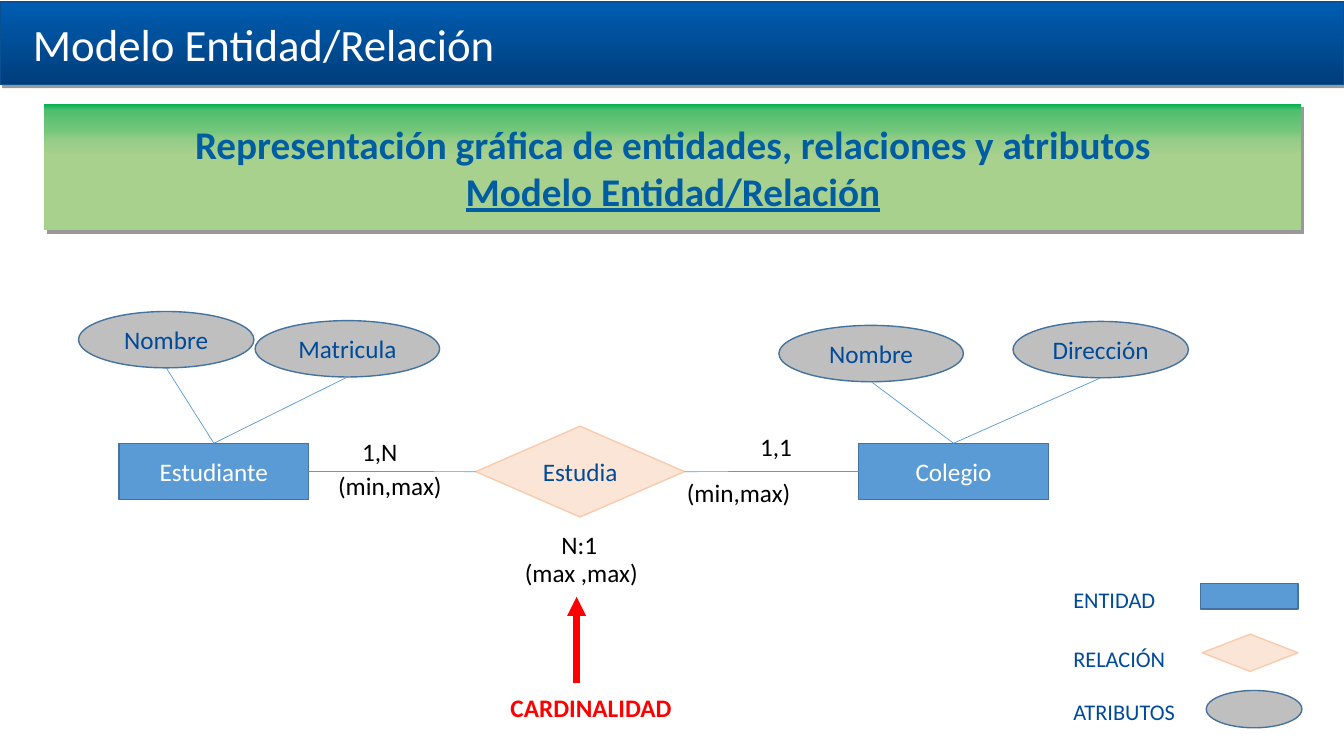
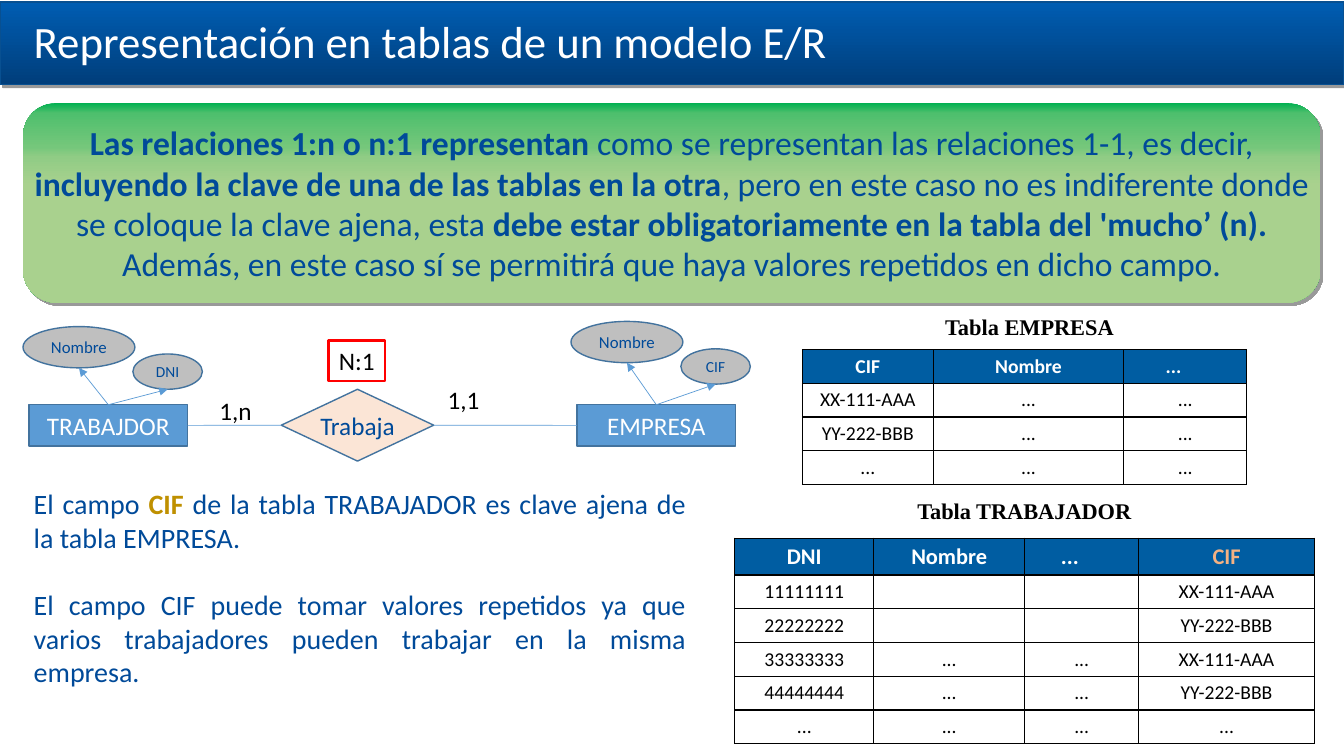
"""Builds two slides on the entity/relationship model and its representation in tables."""
from pptx import Presentation
from pptx.dml.color import RGBColor
from pptx.enum.shapes import MSO_CONNECTOR, MSO_SHAPE
from pptx.enum.text import MSO_ANCHOR, PP_ALIGN
from pptx.oxml import parse_xml
from pptx.oxml.ns import nsdecls
from pptx.util import Cm, Pt

RECT, ROUNDED = MSO_SHAPE.RECTANGLE, MSO_SHAPE.ROUNDED_RECTANGLE
DIAMOND, OVAL = MSO_SHAPE.DIAMOND, MSO_SHAPE.OVAL
STRAIGHT = MSO_CONNECTOR.STRAIGHT
MIDDLE = MSO_ANCHOR.MIDDLE
LEFT, CENTER, JUSTIFY = PP_ALIGN.LEFT, PP_ALIGN.CENTER, PP_ALIGN.JUSTIFY

WHITE = RGBColor(0xFF, 0xFF, 0xFF)
BLACK = RGBColor(0x00, 0x00, 0x00)
RED = RGBColor(0xFF, 0x00, 0x00)
NAVY = RGBColor(0x00, 0x4A, 0x99)
BLUE = RGBColor(0x00, 0x5D, 0xA2)
BAND_EDGE = RGBColor(0x08, 0x50, 0x91)
SKY = RGBColor(0x5B, 0x9B, 0xD5)
STEEL = RGBColor(0x43, 0x73, 0x9E)
GRAY = RGBColor(0xBF, 0xBF, 0xBF)
PEACH = RGBColor(0xFB, 0xE5, 0xD6)
PEACH_EDGE = RGBColor(0xF8, 0xCB, 0xAD)
ORANGE = RGBColor(0xF4, 0xB1, 0x83)
GOLD = RGBColor(0xBF, 0x90, 0x00)

BAND_STOPS = [(0, "005DB2"), (100, "003E7B")]
PANEL_STOPS = [(0, "00B050"), (5, "4EBF6D"), (22, "75C77B"), (27, "90CC85"), (41, "A9D18E")]
FONT = "Calibri"
TOP, LEFT_SIDE, BOTTOM, RIGHT_SIDE = range(4)
OVAL_BOTTOM = 4


def add_node(slide, kind, box, text="", size=18, ink=BLACK, fill=None, border=None,
             width=1, bold=False, align=CENTER, font=FONT):
    box = [Cm(length) for length in box]
    if kind is None:
        node = slide.shapes.add_textbox(*box)
    else:
        node = slide.shapes.add_shape(kind, *box)
        node.shadow.inherit = False
    if fill is not None:
        node.fill.solid()
        node.fill.fore_color.rgb = fill
    if border is not None:
        node.line.color.rgb = border
        node.line.width = Pt(width)
    frame = node.text_frame
    frame.word_wrap = False
    frame.vertical_anchor = MIDDLE
    paragraph = frame.paragraphs[0]
    paragraph.text = text
    paragraph.alignment = align
    for run in paragraph.runs:
        run.font.name, run.font.size, run.font.bold = font, Pt(size), bold
        run.font.color.rgb = ink
    return node


def add_link(slide, ends, color=SKY, width=0.5, arrow=False):
    link = slide.shapes.add_connector(STRAIGHT, *[Cm(length) for length in ends])
    link.line.color.rgb = color
    link.line.width = Pt(width)
    properties = link.element.spPr
    if arrow:
        properties.ln.append(parse_xml(f'<a:tailEnd {nsdecls("a")} type="triangle"/>'))
    properties.append(parse_xml(f'<a:effectLst {nsdecls("a")}/>'))
    return link


deck = Presentation()
deck.slide_width, deck.slide_height = Cm(33.87), Cm(19.05)
model_slide, tables_slide = [deck.slides.add_slide(deck.slide_layouts[6]) for _ in range(2)]

panel_frames = []
for slide, title, title_box, panel_kind, panel_box in [
    (model_slide, "Modelo Entidad/Relación", (0.58, 0.28, 12.3, 1.63),
     RECT, (1.12, 2.62, 31.67, 3.18)),
    (tables_slide, "Representación en tablas de un modelo E/R", (0.6, 0.2, 20.7, 1.63),
     ROUNDED, (0.58, 2.6, 32.7, 5.03)),
]:
    band = add_node(slide, RECT, (0, 0.05, 33.87, 2.08), border=BAND_EDGE)
    panel = add_node(slide, panel_kind, panel_box)
    panel.line.fill.background()
    for area, stops in [(band, BAND_STOPS), (panel, PANEL_STOPS)]:
        stop_xml = "".join(
            f'<a:gs pos="{pos * 1000}"><a:srgbClr val="{color}"/></a:gs>' for pos, color in stops)
        properties = area.element.spPr
        properties.insert(2, parse_xml(
            f'<a:gradFill {nsdecls("a")} rotWithShape="1"><a:gsLst>{stop_xml}</a:gsLst>'
            '<a:lin ang="5400000" scaled="0"/></a:gradFill>'))
        properties.effectLst.append(parse_xml(
            f'<a:outerShdw {nsdecls("a")} blurRad="0" dist="{Pt(3)}" dir="2700000" algn="tl">'
            '<a:srgbClr val="000000"><a:alpha val="40000"/></a:srgbClr></a:outerShdw>'))
    add_node(slide, None, title_box, title, 32, WHITE, align=LEFT)
    panel.text_frame.margin_left = panel.text_frame.margin_right = 0
    panel_frames.append(panel.text_frame)

explanation = tables_slide.shapes.add_textbox(Cm(0.6), Cm(12.14), Cm(16.94), Cm(5.38)).text_frame

for frame, size, align, gap, paragraphs in [
    (panel_frames[0], 28, CENTER, 0, [
        [("Representación gráfica de entidades, relaciones y atributos", BLUE, True, False)],
        [("Modelo Entidad/Relación", BLUE, True, True)],
    ]),
    (panel_frames[1], 24, CENTER, 0, [[
        ("Las relaciones 1:n o n:1 representan ", NAVY, True, False),
        ("como se representan las relaciones 1-1, es decir, ", NAVY, False, False),
        ("incluyendo la clave de una de las tablas en la otra", NAVY, True, False),
        (", pero en este caso no es indiferente donde se coloque la clave ajena, esta ",
         NAVY, False, False),
        ("debe estar obligatoriamente en la tabla del 'mucho’ (n).", NAVY, True, False),
        (" Además, en este caso sí se permitirá que haya valores repetidos en dicho campo.",
         NAVY, False, False),
    ]]),
    (explanation, 20, JUSTIFY, 24, [
        [("El campo ", NAVY, False, False), ("CIF", GOLD, True, False),
         (" de la tabla TRABAJADOR es clave ajena de la tabla EMPRESA.", NAVY, False, False)],
        [("El campo CIF puede tomar valores repetidos ya que varios trabajadores pueden "
          "trabajar en la misma empresa.", NAVY, False, False)],
    ]),
]:
    frame.word_wrap = True
    for index, pieces in enumerate(paragraphs):
        paragraph = frame.add_paragraph() if index else frame.paragraphs[0]
        paragraph.alignment = align
        paragraph.space_after = Pt(gap)
        for text, ink, bold, underline in pieces:
            run = paragraph.add_run()
            run.text = text
            run.font.name, run.font.size = FONT, Pt(size)
            run.font.bold, run.font.underline = bold, underline
            run.font.color.rgb = ink

entity_style = {"ink": WHITE, "fill": SKY, "border": STEEL}
attribute_style = {"ink": NAVY, "fill": GRAY, "border": STEEL}
relation_style = {"ink": NAVY, "fill": PEACH}

relation_joins = []
attribute_joins = []
relation = add_node(model_slide, DIAMOND, (11.99, 10.74, 5.26, 2.29), "Estudia",
                    border=PEACH_EDGE, **relation_style)
for name, left, entity_side, relation_side, attributes in [
    ("Estudiante", 3, RIGHT_SIDE, LEFT_SIDE,
     [("Nombre", 1.98, 7.85, 4.42), ("Matricula", 6.43, 8.08, 4.65)]),
    ("Colegio", 21.64, LEFT_SIDE, RIGHT_SIDE,
     [("Nombre", 19.63, 8.2, 4.65), ("Dirección", 25.53, 8.1, 4.42)]),
]:
    entity = add_node(model_slide, RECT, (left, 11.17, 4.78, 1.42), name, **entity_style)
    relation_joins.append((model_slide, entity, entity_side, relation, relation_side))
    for attribute, attribute_left, top, width in attributes:
        oval = add_node(model_slide, OVAL, (attribute_left, top, width, 1.42), attribute,
                        **attribute_style)
        attribute_joins.append((model_slide, entity, oval, False))

relation = add_node(tables_slide, DIAMOND, (7.09, 9.81, 3.84, 1.81), "Trabaja",
                    border=STEEL, **relation_style)
for name, key, left, top, entity_side, relation_side in [
    ("TRABAJDOR", "DNI", 0.58, 8.23, RIGHT_SIDE, LEFT_SIDE),
    ("EMPRESA", "CIF", 14.39, 8.1, LEFT_SIDE, RIGHT_SIDE),
]:
    entity = add_node(tables_slide, RECT, (left + 0.15, 10.2, 4, 1.04), name, **entity_style)
    name_oval = add_node(tables_slide, OVAL, (left, top, 2.82, 1.04), "Nombre", 12,
                         **attribute_style)
    key_oval = add_node(tables_slide, OVAL, (left + 2.77, top + 0.69, 1.75, 0.89), key, 11,
                        **attribute_style)
    relation_joins.append((tables_slide, entity, entity_side, relation, relation_side))
    for oval in (name_oval, key_oval):
        attribute_joins.append((tables_slide, entity, oval, True))

for slide, entity, entity_side, relation, relation_side in relation_joins:
    link = add_link(slide, (0, 0, 0, 0))
    link.begin_connect(entity, entity_side)
    link.end_connect(relation, relation_side)

for slide, entity, oval, arrow in attribute_joins:
    link = add_link(slide, (0, 0, 0, 0), arrow=arrow)
    link.begin_connect(entity, TOP)
    link.end_connect(oval, BOTTOM)
    link.element.nvCxnSpPr.cNvCxnSpPr.endCxn.idx = OVAL_BOTTOM

for slide, text, left, top, width in [
    (model_slide, "1,1", 18.9, 10.74, 1.32),
    (model_slide, "1,N", 8.86, 10.87, 1.42),
    (model_slide, "N:1", 13.89, 13.21, 1.42),
    (model_slide, "(min,max)", 17.04, 11.91, 3.15),
    (model_slide, "(min,max)", 8.25, 11.73, 3.15),
    (model_slide, "(max ,max)", 12.95, 13.92, 3.4),
    (tables_slide, "1,1", 11.02, 9.55, 1.32),
    (tables_slide, "1,n", 5.26, 9.83, 1.35),
]:
    add_node(slide, None, (left, top, width, 1.02), text)
add_node(tables_slide, None, (8.28, 8.58, 1.42, 1.02), "N:1", border=RED, width=1.5)

add_link(model_slide, (14.53, 17.22, 14.53, 15.04), RED, 4.5, arrow=True)
add_node(model_slide, None, (12.52, 17.32, 4.75, 1.02), "CARDINALIDAD", ink=RED, bold=True)

for text, text_top, kind, box, style in [
    ("ENTIDAD", 14.63, RECT, (30.25, 14.71, 2.46, 0.64), entity_style),
    ("RELACIÓN", 16.13, DIAMOND, (30.3, 15.98, 2.41, 0.94),
     {"border": PEACH_EDGE, **relation_style}),
    ("ATRIBUTOS", 17.45, OVAL, (30.4, 17.4, 2.41, 0.94), attribute_style),
]:
    add_node(model_slide, None, (26.8, text_top, 3.2, 0.94), text, 16, NAVY, align=LEFT)
    add_node(model_slide, kind, box, **style)

for caption, caption_box, left, top, columns, header_height, header_size, rows in [
    ("Tabla EMPRESA", (22.3, 7.75, 7.29, 0.94), 20.22, 8.81, (3.3, 4.8, 3.1), 0.85, 14, [
        ("CIF", "Nombre", "..."),
        ("XX-111-AAA", "...", "..."),
        ("YY-222-BBB", "...", "..."),
        ("...", "...", "..."),
    ]),
    ("Tabla TRABAJADOR", (22.17, 12.4, 7.29, 0.94), 18.52, 13.56, (3.5, 3.8, 2.88, 4.42),
     0.93, 16, [
        ("DNI", "Nombre", "...", "CIF"),
        ("11111111", "", "", "XX-111-AAA"),
        ("22222222", "", "", "YY-222-BBB"),
        ("33333333", "...", "...", "XX-111-AAA"),
        ("44444444", "...", "...", "YY-222-BBB"),
        ("...", "...", "...", "..."),
    ]),
]:
    add_node(tables_slide, None, caption_box, caption, 16, bold=True, font="Times New Roman")
    heights = [header_height] + [0.85] * (len(rows) - 1)
    table = tables_slide.shapes.add_table(
        len(rows), len(columns), Cm(left), Cm(top), Cm(sum(columns)), Cm(sum(heights))).table
    table.first_row = table.horz_banding = False
    for column, width in zip(table.columns, columns):
        column.width = Cm(width)
    for row_index, values in enumerate(rows):
        table.rows[row_index].height = Cm(heights[row_index])
        header = row_index == 0
        for column_index, value in enumerate(values):
            cell = table.cell(row_index, column_index)
            cell.margin_top = cell.margin_bottom = 0
            cell.vertical_anchor = MIDDLE
            if header and value == "...":
                cell.margin_right = Cm(0.85)
            for side in "LRTB":
                cell._tc.get_or_add_tcPr().append(parse_xml(
                    f'<a:ln{side} {nsdecls("a")} w="{Pt(1)}"><a:solidFill>'
                    f'<a:srgbClr val="{BLACK}"/></a:solidFill></a:ln{side}>'))
            cell.fill.solid()
            cell.fill.fore_color.rgb = BLUE if header else WHITE
            paragraph = cell.text_frame.paragraphs[0]
            paragraph.text = value
            paragraph.alignment = CENTER
            header_ink = ORANGE if column_index == 3 else WHITE
            for run in paragraph.runs:
                run.font.name, run.font.bold = FONT, header
                run.font.size = Pt(header_size if header else 14)
                run.font.color.rgb = header_ink if header else BLACK

deck.save("out.pptx")
